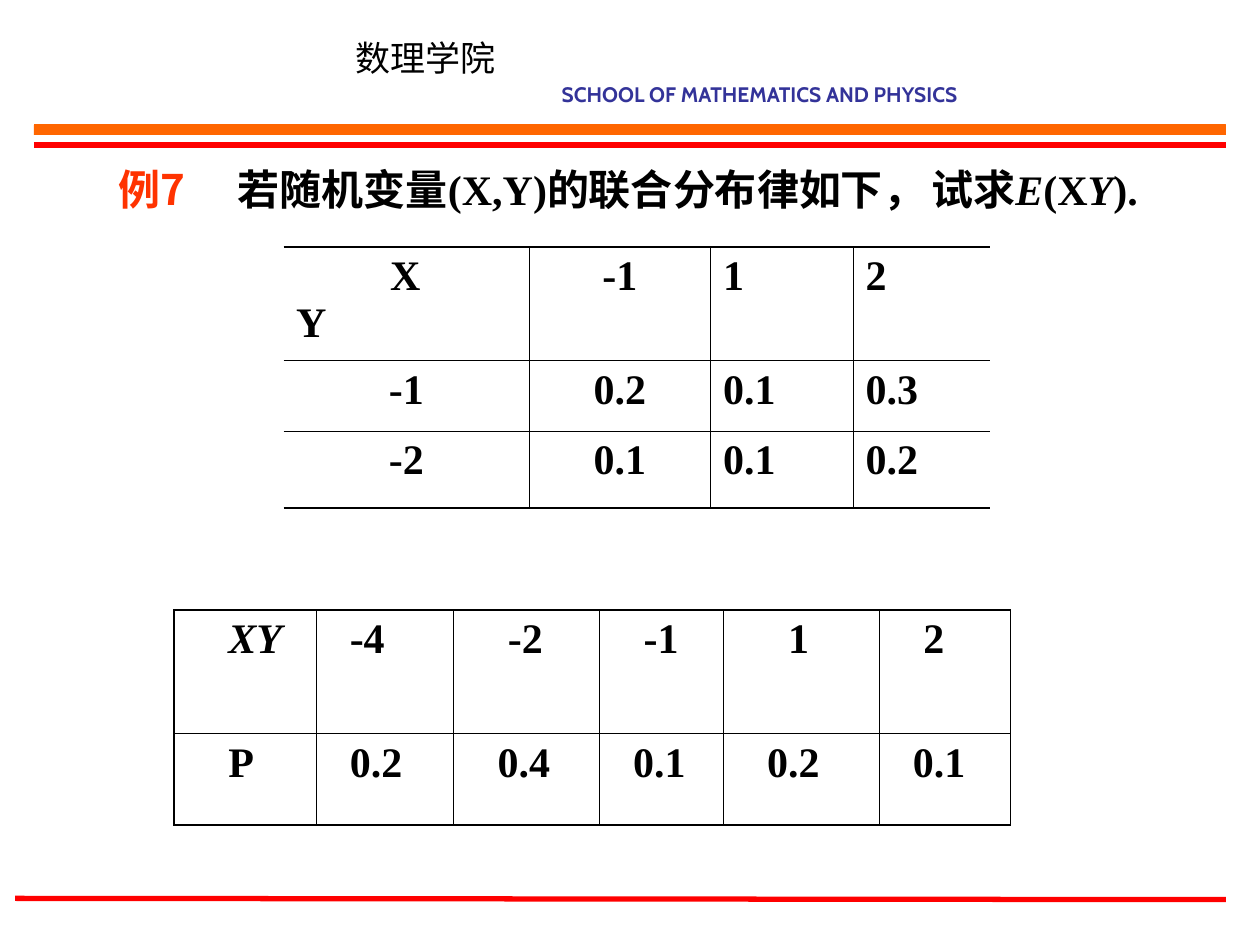
from lxml.etree import SubElement as Sub
from pptx import Presentation
from pptx.dml.color import RGBColor
from pptx.enum.shapes import MSO_CONNECTOR as Line, MSO_SHAPE as Shape
from pptx.enum.text import MSO_ANCHOR as Anchor, PP_ALIGN as Align
from pptx.oxml.ns import qn
from pptx.util import Inches, Pt

COLS, ROWS = 100, 75
SPACE = 0.83
ROMAN, SANS = "Times New Roman", "Noto Sans CJK SC"
THIN, THICK = 0.45, 1.08


def unit(num):
    """Turn grid units, a hundredth of the slide's width, into a length."""
    return Inches(num * 10 / COLS)


def color(code):
    """Turn a hex string into a colour."""
    return RGBColor.from_string(code)


def write(para, text, size=24, font=ROMAN, fill="000000", bold=True, slant=False):
    """Add one run of text to a paragraph."""
    run = para.add_run()
    run.text = text
    face = run.font
    face.size, face.name, face.bold, face.italic = Pt(size), font, bold, slant
    face.color.rgb = color(fill)
    Sub(run._r.get_or_add_rPr(), qn("a:ea")).set("typeface", SANS)


def label(slide, x, y, w, h, align=Align.LEFT, anchor=Anchor.TOP):
    """Place an unwrapped text box and return its paragraph."""
    frame = slide.shapes.add_textbox(unit(x), unit(y), unit(w), unit(h)).text_frame
    frame.word_wrap = False
    frame.vertical_anchor = anchor
    para = frame.paragraphs[0]
    para.alignment = align
    return para


def rule(slide, x, y, w, drop=0):
    """Draw a red rule."""
    line = slide.shapes.add_connector(
        Line.STRAIGHT, unit(x), unit(y), unit(x + w), unit(y + drop))
    line.line.color.rgb = color("FF0000")
    line.line.width = Pt(3)
    Sub(line._element.spPr, qn("a:effectLst"))


def header(slide, x, y, w, h):
    """Draw the school's names over an orange bar and a red rule."""
    rule(slide, x, y + h, w)
    bar = slide.shapes.add_shape(
        Shape.RECTANGLE, unit(x), unit(y + h - 1.6), unit(w), unit(0.8))
    bar.shadow.inherit = False
    bar.fill.solid()
    bar.fill.fore_color.rgb = bar.line.color.rgb = color("FF6600")
    bar.line.width = Pt(0.5)
    name = label(slide, x + 24.5, y, 13.1, 4.4, Align.CENTER)
    write(name, "数理学院", size=20, font=SANS, bold=False)
    name = label(slide, x + 40.9, y + 3.6, 35.7, 3)
    write(name, "SCHOOL OF MATHEMATICS AND PHYSICS", size=12, font="Cabin", fill="333399")


def title(slide, x, y, w, h):
    """Write the example's number, its statement and its question."""
    para = label(slide, x, y, w * 0.81, h, anchor=Anchor.MIDDLE)
    tabs = Sub(para._p.get_or_add_pPr(), qn("a:tabLst"))
    Sub(tabs, qn("a:tab"), pos=str(unit(9.5)), algn="l")
    write(para, "例7\t", font=SANS, fill="FF3300")
    write(para, "若随机变量(X,Y)的联合分布律如下，")
    para = label(slide, x + w * 0.77, y, w * 0.23, h, Align.CENTER, Anchor.MIDDLE)
    for text, slant in (("试求", False), ("E", True), ("(X", False), ("Y", True), (").", False)):
        write(para, text, slant=slant)


def edge(cell, sides):
    """Set a cell's left, right, top and bottom lines, with 0 for none."""
    props = cell._tc.get_or_add_tcPr()
    for side, width in zip("LRTB", sides):
        line = Sub(props, qn(f"a:ln{side}"), w=str(Pt(width)))
        if width:
            fill = Sub(line, qn("a:solidFill"))
            Sub(fill, qn("a:srgbClr"), val="000000")
        else:
            Sub(line, qn("a:noFill"))
    cell.fill.background()


def grid(slide, x, y, wide, high, left, right):
    """Place a ruled table and yield each cell's row, column and paragraph."""
    table = slide.shapes.add_table(
        len(high), len(wide), unit(x), unit(y), unit(sum(wide)), unit(sum(high))).table
    table.first_row = table.horz_banding = False
    for col, w in zip(table.columns, wide):
        col.width = unit(w)
    for row, h in zip(table.rows, high):
        row.height = unit(h)
    for r in range(len(high)):
        for c in range(len(wide)):
            cell = table.cell(r, c)
            edge(cell, (THIN if c else left,
                        THIN if c < len(wide) - 1 else right,
                        THIN if r else THICK,
                        THIN if r < len(high) - 1 else THICK))
            yield r, c, cell.text_frame.paragraphs[0]


def joint(slide, x, y):
    """Fill the table of the joint law of X and Y."""
    data = (("X", "-1", "1", "2"),
            ("-1", "0.2", "0.1", "0.3"),
            ("-2", "0.1", "0.1", "0.2"))
    wide, high = (19.5, 14.4, 11.3, 10.9), (9, 5.6, 6.1)
    for r, c, para in grid(slide, x, y, wide, high, 0, 0):
        write(para, data[r][c])
        if r == c == 0:
            para._p.get_or_add_pPr().set("indent", str(unit(9 * SPACE)))
            para.add_line_break()
            write(para, "Y")
        elif c < 2:
            para.alignment = Align.CENTER


def product(slide, x, y):
    """Fill the table of the law of the product XY."""
    data = (("XY", "-4", "-2", "-1", "1", "2"),
            ("P", "0.2", "0.4", "0.1", "0.2", "0.1"))
    pads = ((4, 2, 4, 3, 5, 3), (4, 2, 3, 2, 3, 2))
    wide, high = (11.3, 10.9, 11.6, 9.8, 12.4, 10.4), (9.8, 7.3)
    for r, c, para in grid(slide, x, y, wide, high, THICK, THIN):
        props = para._p.get_or_add_pPr()
        props.set("marL", str(unit(pads[r][c] * SPACE)))
        props.set("indent", "0")
        write(para, data[r][c], slant=r == c == 0)


def main():
    """Build the slide and save it."""
    deck = Presentation()
    deck.slide_width, deck.slide_height = unit(COLS), unit(ROWS)
    slide = deck.slides.add_slide(deck.slide_layouts[6])
    header(slide, 2.7, 2.4, 94.6, 9.1)
    rule(slide, 1.2, 71.3, 96.1, 0.1)
    title(slide, 8.4, 12.5, 83.3, 5)
    joint(slide, 22.5, 19.6)
    product(slide, 13.8, 48.4)
    deck.save("out.pptx")


if __name__ == "__main__":
    main()
